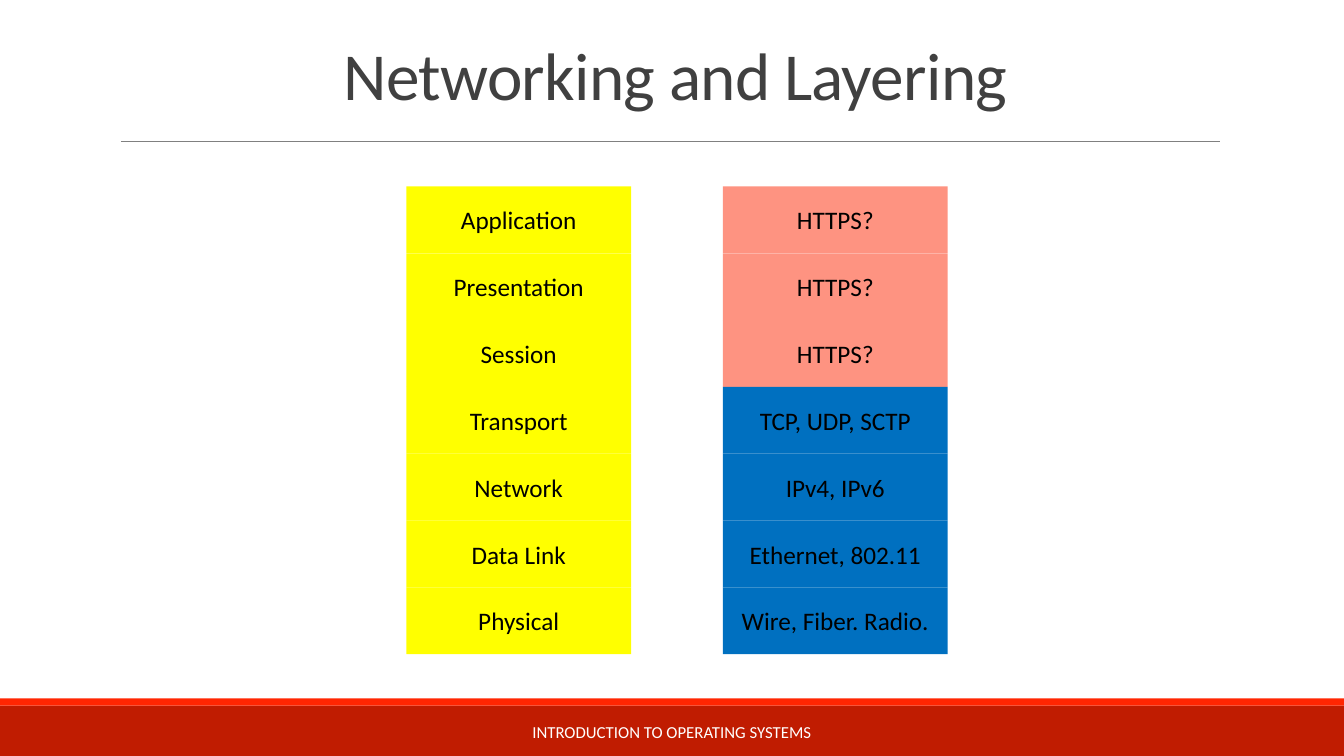
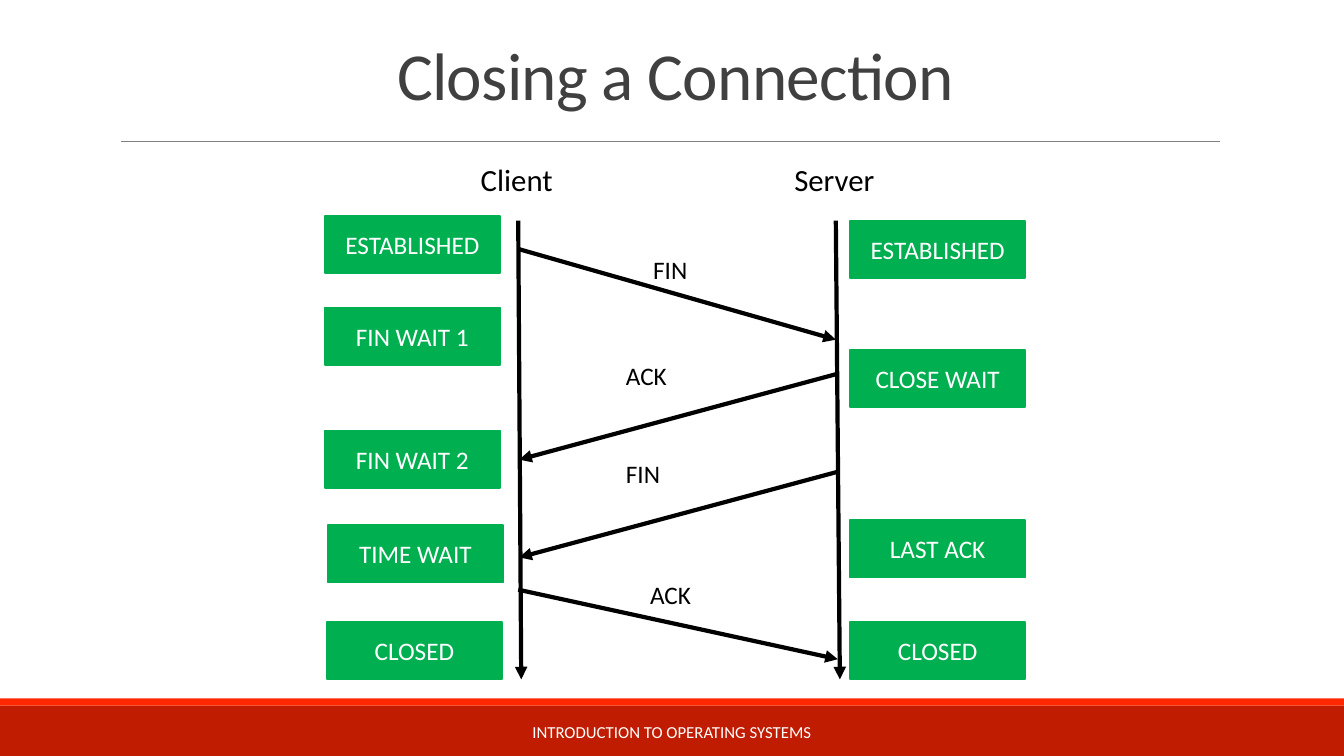
from lxml.etree import SubElement
from pptx import Presentation
from pptx.dml.color import RGBColor
from pptx.enum.shapes import MSO_CONNECTOR, MSO_SHAPE
from pptx.enum.text import MSO_ANCHOR, MSO_AUTO_SIZE, PP_ALIGN
from pptx.oxml.ns import qn
from pptx.util import Inches, Pt

COLORS = {
    "band": "C01C01",
    "stripe": "FF2602",
    "rule": "808080",
    "title": "404040",
    "black": "000000",
    "white": "FFFFFF",
    "layer": "FFFF00",
    "secure": "FE9381",
    "protocol": "0070C0",
    "state": "00B050",
}
FONT = "Calibri"
FOOTER = "INTRODUCTION TO OPERATING SYSTEMS"


class Deck:
    """Hold the presentation, its shared style and the current slide."""

    def __init__(self):
        self.presentation = Presentation()
        self.presentation.slide_width = Inches(13.33)
        self.presentation.slide_height = Inches(7.5)
        self.slide = None

    def color(self, name):
        return RGBColor.from_string(COLORS[name])

    def add_slide(self, title):
        self.slide = self.presentation.slides.add_slide(self.presentation.slide_layouts[5])
        self.box(0, 7, 13.33, 0.5, "band")
        self.box(0, 6.93, 13.33, 0.07, "stripe")
        self.line((1.2, 1.4), (12.1, 1.4), "rule", 0.5)
        self.title(title)
        self.label(FOOTER, 4.03, 7.06, 5.27, 0.4, 12, "white", centered=True)

    def title(self, text):
        shape = self.slide.shapes.title
        shape.left, shape.top = Inches(1.2), Inches(0.31)
        shape.width, shape.height = Inches(11), Inches(0.96)
        shape.text_frame.auto_size = MSO_AUTO_SIZE.NONE
        self.set_text(shape, text, 48, "title")
        paragraph = shape.text_frame.paragraphs[0]
        paragraph.line_spacing = 0.85
        paragraph.runs[0]._r.get_or_add_rPr().set("spc", "-50")

    def set_text(self, shape, text, size, color, centered=True):
        frame = shape.text_frame
        frame.text = text
        frame.vertical_anchor = MSO_ANCHOR.MIDDLE if centered else MSO_ANCHOR.TOP
        paragraph = frame.paragraphs[0]
        paragraph.alignment = PP_ALIGN.CENTER if centered else PP_ALIGN.LEFT
        paragraph.font.name = FONT
        paragraph.font.size = Pt(size)
        paragraph.font.color.rgb = self.color(color)

    def box(self, left, top, width, height, fill, text="", text_color="black", outlined=False):
        shape = self.slide.shapes.add_shape(
            MSO_SHAPE.RECTANGLE, Inches(left), Inches(top), Inches(width), Inches(height))
        shape.shadow.inherit = False
        shape.fill.solid()
        shape.fill.fore_color.rgb = self.color(fill)
        if outlined:
            shape.line.color.rgb = self.color(fill)
            shape.line.width = Pt(1.25)
        else:
            shape.line.fill.background()
        if text:
            self.set_text(shape, text, 18, text_color)

    def label(self, text, left, top, width, height, size=18, color="black", centered=False):
        shape = self.slide.shapes.add_textbox(
            Inches(left), Inches(top), Inches(width), Inches(height))
        shape.text_frame.word_wrap = centered
        self.set_text(shape, text, size, color, centered)

    def line(self, start, end, color="black", width=3, arrow=False):
        connector = self.slide.shapes.add_connector(
            MSO_CONNECTOR.STRAIGHT, *(Inches(value) for value in (*start, *end)))
        connector.line.color.rgb = self.color(color)
        connector.line.width = Pt(width)
        if arrow:
            SubElement(connector.line._get_or_add_ln(), qn("a:tailEnd"), type="triangle")
        SubElement(connector._element.spPr, qn("a:effectLst"))


def build_layering(deck):
    """Show the network layers beside their protocols."""
    deck.add_slide("Networking and Layering")
    layers = [
        ("Application", "HTTPS?", "secure"),
        ("Presentation", "HTTPS?", "secure"),
        ("Session", "HTTPS?", "secure"),
        ("Transport", "TCP, UDP, SCTP", "protocol"),
        ("Network", "IPv4, IPv6", "protocol"),
        ("Data Link", "Ethernet, 802.11", "protocol"),
        ("Physical", "Wire, Fiber. Radio.", "protocol"),
    ]
    row_height = 4.64 / len(layers)
    for row, (layer, protocol, fill) in enumerate(layers):
        top = 1.85 + row * row_height
        deck.box(4.03, top, 2.23, row_height, "layer", layer)
        deck.box(7.17, top, 2.23, row_height, fill, protocol)


def build_closing(deck):
    """Show the messages and states while a connection closes."""
    deck.add_slide("Closing a Connection")
    deck.label("Client", 4.67, 1.55, 0.96, 0.47, 22)
    deck.label("Server", 7.78, 1.55, 1.02, 0.47, 22)
    deck.line((5.14, 2.19), (5.17, 6.74), arrow=True)
    deck.line((8.29, 2.19), (8.33, 6.74), arrow=True)

    states = [
        ("ESTABLISHED", 3.22, 2.14),
        ("FIN WAIT 1", 3.22, 3.05),
        ("FIN WAIT 2", 3.22, 4.27),
        ("TIME WAIT", 3.25, 5.21),
        ("CLOSED", 3.24, 6.17),
        ("ESTABLISHED", 8.43, 2.19),
        ("CLOSE WAIT", 8.43, 3.47),
        ("LAST ACK", 8.43, 5.16),
        ("CLOSED", 8.43, 6.17),
    ]
    for state, left, top in states:
        deck.box(left, top, 1.74, 0.57, "state", state, "white", outlined=True)

    label_widths = {"FIN": 0.58, "ACK": 0.7}
    messages = [
        ("FIN", (5.14, 2.47), (8.29, 3.37), 6.38, 2.47),
        ("ACK", (8.3, 3.71), (5.15, 4.56), 6.11, 3.53),
        ("FIN", (8.31, 4.68), (5.15, 5.53), 6.11, 4.5),
        ("ACK", (5.14, 5.85), (8.31, 6.54), 6.35, 5.7),
    ]
    for message, start, end, left, top in messages:
        deck.line(start, end, arrow=True)
        deck.label(message, left, top, label_widths[message], 0.4)


def main():
    """Build and save the slides."""
    deck = Deck()
    build_layering(deck)
    build_closing(deck)
    deck.presentation.save("out.pptx")


if __name__ == "__main__":
    main()
